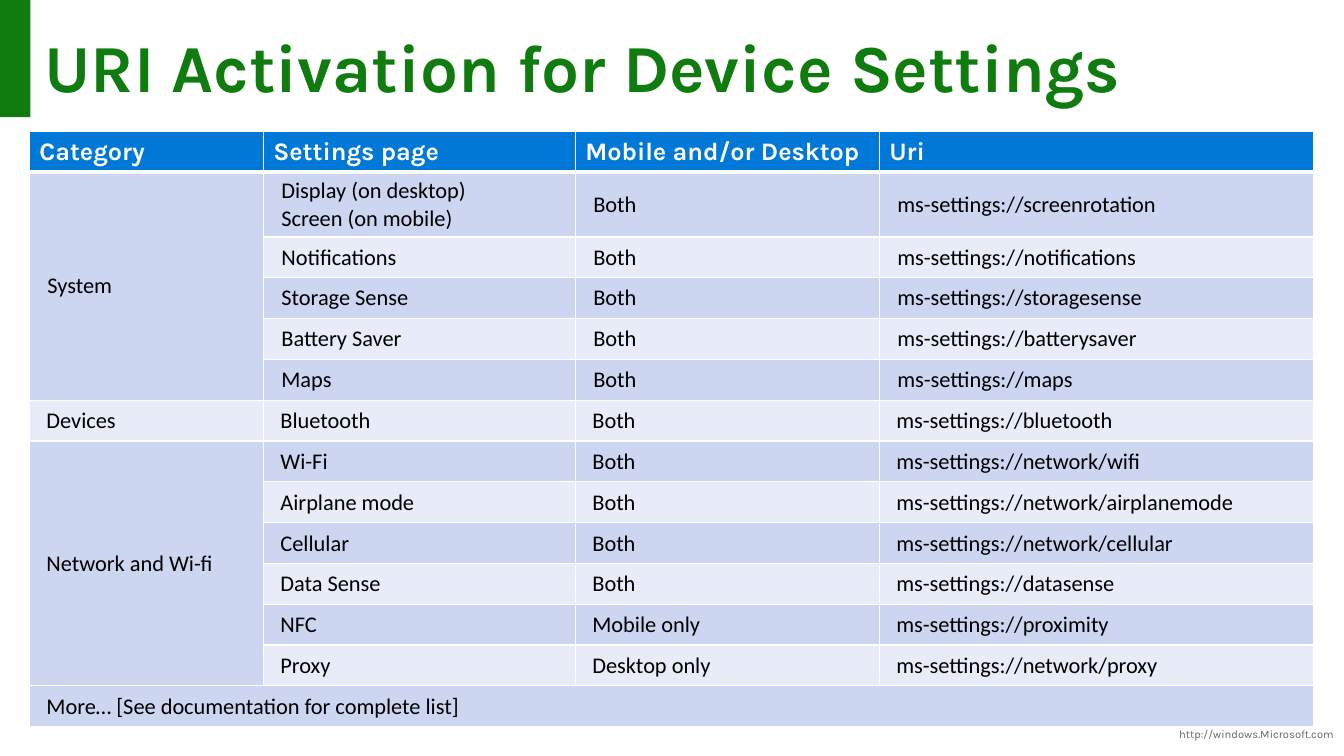
from dataclasses import dataclass

from lxml.etree import SubElement
from pptx import Presentation
from pptx.dml.color import RGBColor
from pptx.enum.shapes import MSO_SHAPE
from pptx.enum.text import MSO_ANCHOR, PP_ALIGN
from pptx.oxml.ns import qn
from pptx.util import Inches, Pt


@dataclass(frozen=True)
class Theme:
    """Colours, fonts and type sizes of the slide."""

    green: str = "107C10"
    blue: str = "0078D7"
    band_dark: str = "CCD6F0"
    band_light: str = "E7ECF8"
    white: str = "FFFFFF"
    black: str = "000000"
    grey: str = "666666"
    display_font: str = "Karla"
    body_font: str = "Calibri"
    title_size: int = 48
    header_size: int = 18
    cell_size: int = 16
    footer_size: int = 8
    thin_line: int = 1
    thick_line: int = 3


def apply(target, formats):
    """Set every attribute named in a dict of format values."""
    for name, value in formats.items():
        setattr(target, name, value)


def margins(horizontal, top, bottom):
    """Return the inset attributes of a box or cell."""
    return {"margin_left": horizontal, "margin_right": horizontal,
            "margin_top": top, "margin_bottom": bottom}


class SlideBuilder:
    """Draw on one slide with a grid of 100 columns and 100 rows."""

    def __init__(self, deck, theme):
        """Add a page that has only a title."""
        self.theme = theme
        self.column = deck.slide_width / 100
        self.row = deck.slide_height / 100
        self.page = deck.slides.add_slide(deck.slide_layouts[5])

    def across(self, columns):
        """Turn grid columns into a length."""
        return round(columns * self.column)

    def down(self, rows):
        """Turn grid rows into a length."""
        return round(rows * self.row)

    def area(self, left, top, width, height):
        """Turn a grid area into position and size."""
        return self.across(left), self.down(top), self.across(width), self.down(height)

    def add_span(self, para, text, color, **formats):
        """Add one formatted span to a paragraph."""
        span = para.add_run()
        span.text = text
        apply(span.font, formats)
        span.font.color.rgb = RGBColor.from_string(color)

    def title(self, text, area):
        """Place and format the title."""
        box = self.page.shapes.title
        apply(box, dict(zip(("left", "top", "width", "height"), self.area(*area))))
        inset = self.down(1.6)
        apply(box.text_frame, {"word_wrap": True, "vertical_anchor": MSO_ANCHOR.TOP,
                               **margins(self.across(1.13), inset, inset)})
        para = box.text_frame.paragraphs[0]
        apply(para, {"alignment": PP_ALIGN.LEFT, "line_spacing": 0.9})
        self.add_span(para, text, self.theme.green, name=self.theme.display_font,
                      size=Pt(self.theme.title_size), bold=True)

    def bar(self, area):
        """Draw a plain accent bar."""
        shape = self.page.shapes.add_shape(MSO_SHAPE.RECTANGLE, *self.area(*area))
        shape.shadow.inherit = False
        shape.fill.solid()
        shape.fill.fore_color.rgb = RGBColor.from_string(self.theme.green)
        shape.line.fill.background()

    def footer(self, text, area):
        """Add a small line aligned right."""
        box = self.page.shapes.add_textbox(*self.area(*area))
        box.text_frame.word_wrap = True
        para = box.text_frame.paragraphs[0]
        para.alignment = PP_ALIGN.RIGHT
        self.add_span(para, text, self.theme.grey, name=self.theme.display_font,
                      size=Pt(self.theme.footer_size))

    def paint(self, cell, fill, bottom):
        """Give a cell its borders and fill."""
        properties = cell._tc.get_or_add_tcPr()
        for side in "LRTB":
            points = bottom if side == "B" else self.theme.thin_line
            line = SubElement(properties, qn(f"a:ln{side}"), w=str(Pt(points)))
            solid = SubElement(line, qn("a:solidFill"))
            SubElement(solid, qn("a:srgbClr"), val=self.theme.white)
        cell.fill.solid()
        cell.fill.fore_color.rgb = RGBColor.from_string(fill)

    def cell_text(self, cell, text, indent, **formats):
        """Set the lines of a cell as indented paragraphs."""
        frame = cell.text_frame
        for number, line in enumerate(text.split("\n")):
            para = frame.add_paragraph() if number else frame.paragraphs[0]
            para._p.get_or_add_pPr().set("marL", str(self.across(indent)))
            self.add_span(para, line, **formats)

    def table(self, rows, spans, tight_from, corner, widths, heights):
        """Build a banded table with merged cells."""
        theme = self.theme
        area = self.area(*corner, sum(widths), sum(heights))
        table = self.page.shapes.add_table(len(rows), len(widths), *area).table
        apply(table, {"first_row": False, "horz_banding": False})
        for column, width in zip(table.columns, widths):
            column.width = self.across(width)
        for row, height in zip(table.rows, heights):
            row.height = self.down(height)
        header = {"color": theme.white, "name": theme.display_font,
                  "size": Pt(theme.header_size), "bold": True}
        body = {"color": theme.black, "name": theme.body_font,
                "size": Pt(theme.cell_size), "bold": False}
        for r, texts in enumerate(rows):
            fill = theme.band_dark if r % 2 else theme.band_light
            indent = 1.2 if r >= tight_from else 0.6
            for c, text in enumerate(texts):
                cell = table.cell(r, c)
                self.paint(cell, fill if r else theme.blue,
                           theme.thin_line if r else theme.thick_line)
                cell.vertical_anchor = MSO_ANCHOR.MIDDLE
                if r >= tight_from:
                    apply(cell, margins(self.across(0.08), self.down(0.13), 0))
                if text:
                    self.cell_text(cell, text, indent if r else 0, **(body if r else header))
        for first, last in spans:
            table.cell(*first).merge(table.cell(*last))


SETTINGS = [
    ("Category", "Settings page", "Mobile and/or Desktop", "Uri"),
    ("System", "Display (on desktop)\nScreen (on mobile)", "Both", "ms-settings://screenrotation"),
    ("", "Notifications", "Both", "ms-settings://notifications"),
    ("", "Storage Sense", "Both", "ms-settings://storagesense"),
    ("", "Battery Saver", "Both", "ms-settings://batterysaver"),
    ("", "Maps", "Both", "ms-settings://maps"),
    ("Devices", "Bluetooth", "Both", "ms-settings://bluetooth"),
    ("Network and Wi-fi", "Wi-Fi", "Both", "ms-settings://network/wifi"),
    ("", "Airplane mode", "Both", "ms-settings://network/airplanemode"),
    ("", "Cellular", "Both", "ms-settings://network/cellular"),
    ("", "Data Sense", "Both", "ms-settings://datasense"),
    ("", "NFC", "Mobile only", "ms-settings://proximity"),
    ("", "Proxy", "Desktop only", "ms-settings://network/proxy"),
    ("More… [See documentation for complete list]", "", "", ""),
]
CATEGORY_SPANS = [((1, 0), (5, 0)), ((7, 0), (12, 0)), ((13, 0), (13, 3))]


def main():
    """Build the slide and save it."""
    deck = Presentation()
    apply(deck, {"slide_width": Inches(13.33), "slide_height": Inches(7.5)})
    builder = SlideBuilder(deck, Theme())
    builder.footer("http://windows.Microsoft.com", (86.42, 95.6, 13.58, 4.4))
    builder.bar((0, 0, 2.27, 15.5))
    builder.title("URI Activation for Device Settings", (2.18, 2.93, 95.57, 14.27))
    builder.table(SETTINGS, CATEGORY_SPANS, tight_from=6, corner=(2.18, 17.4),
                  widths=[17.41, 23.21, 22.62, 32.29],
                  heights=[5.4, 8.56] + [5.4] * 12)
    deck.save("out.pptx")


if __name__ == "__main__":
    main()
